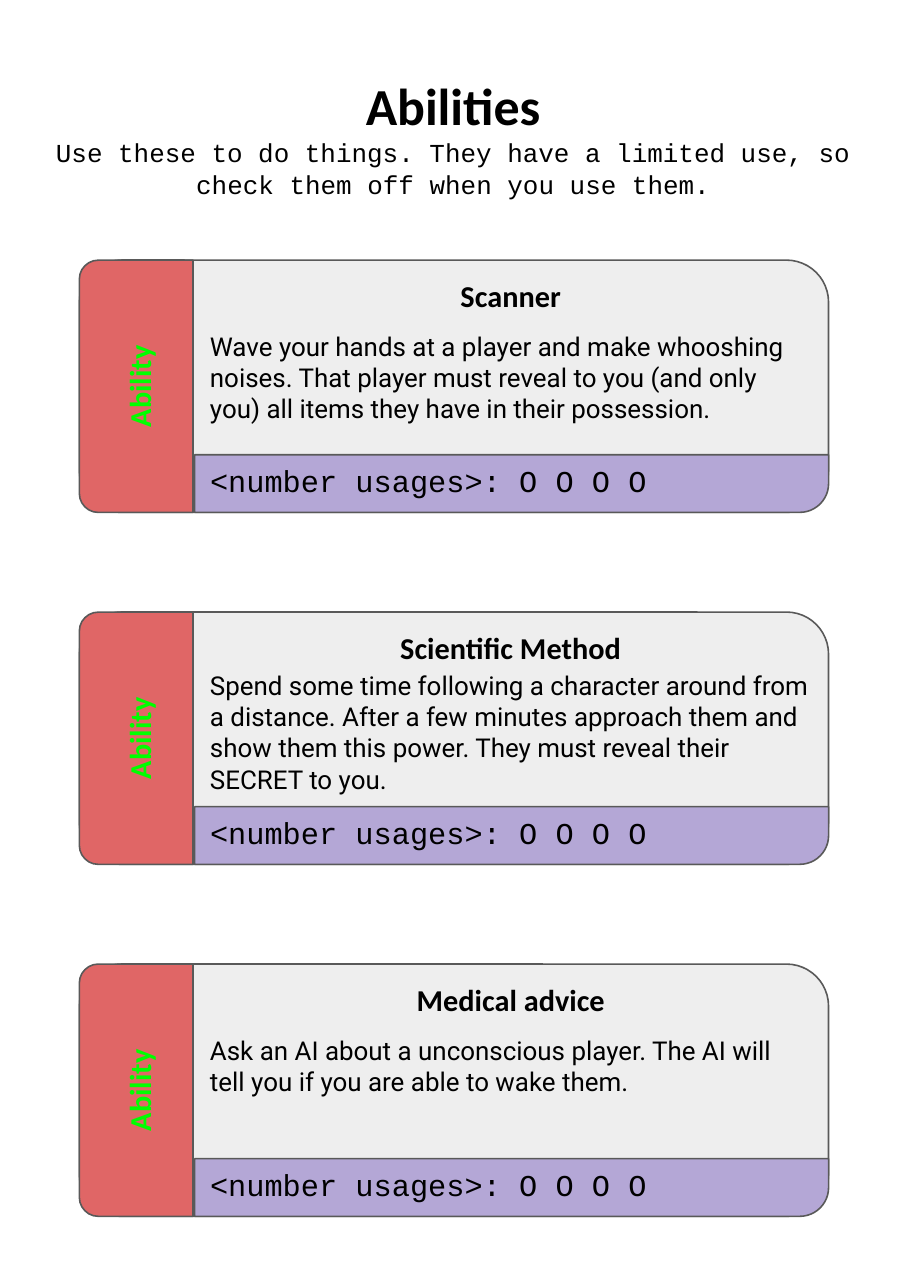
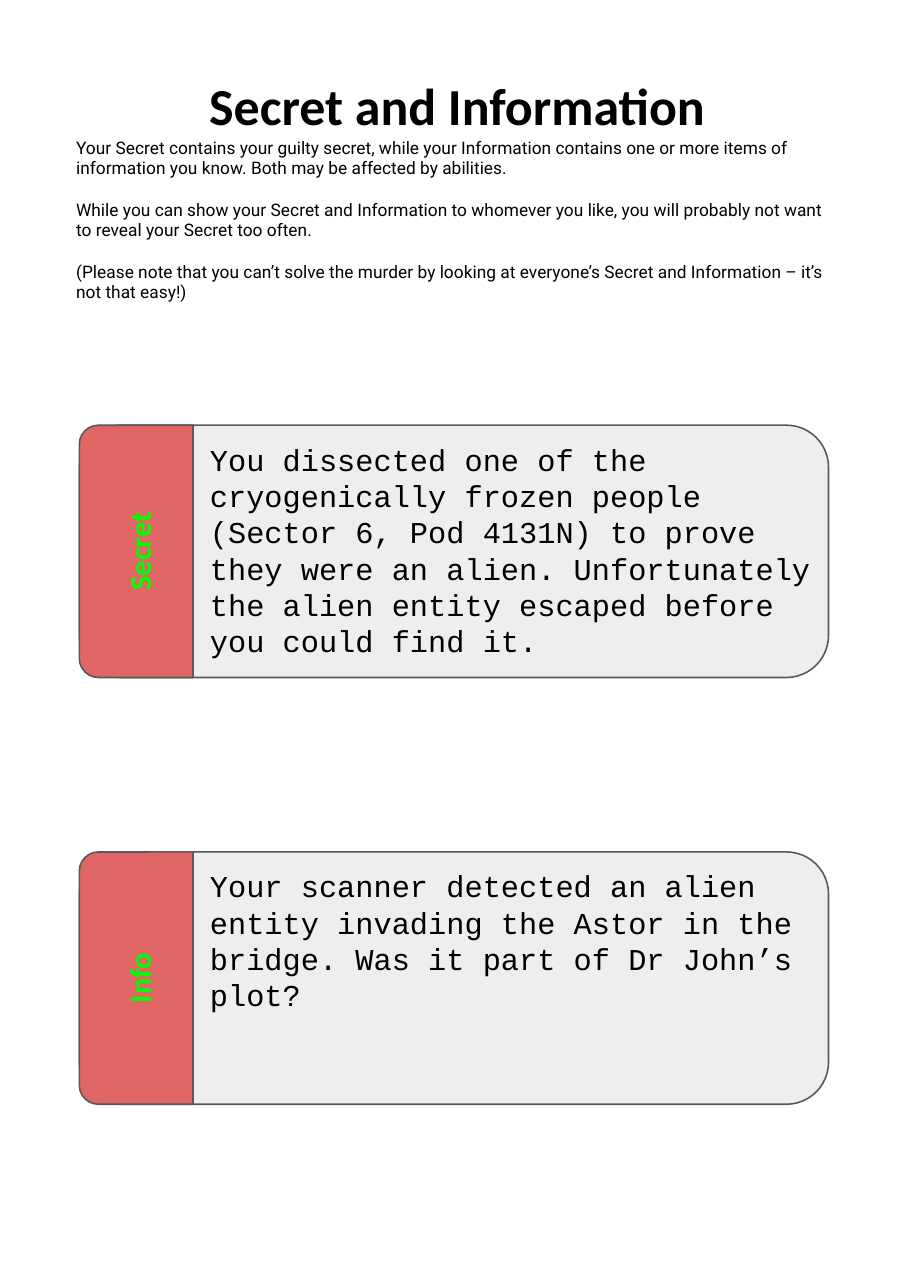
from dataclasses import dataclass

from pptx import Presentation
from pptx.dml.color import RGBColor
from pptx.enum.shapes import MSO_SHAPE
from pptx.enum.text import MSO_ANCHOR, MSO_AUTO_SIZE, PP_ALIGN
from pptx.util import Inches, Pt

COLORS = {"text": "000000", "label": "00FF00", "card": "EEEEEE",
          "tab": "E06666", "band": "B4A7D6", "line": "595959"}

# Font formats by role
FONTS = {
    "title": {"name": "Calibri", "size": Pt(24), "bold": True},
    "head": {"name": "Calibri", "size": Pt(14), "bold": True},
    "lead": {"name": "Courier New", "size": Pt(12), "bold": False},
    "mono": {"name": "Courier New", "size": Pt(14), "bold": False},
    "body": {"name": "Roboto", "size": Pt(12), "bold": False},
    "small": {"name": "Roboto", "size": Pt(8), "bold": False},
}

# Card grid
LEFT, WIDTH, HEIGHT = 0.51, 4.81, 1.62
TAB, BAND = 0.73, 0.37
INNER, SPAN = 1.25, 4.06
USES = "<number usages>: O O O O"


@dataclass
class Card:
    label: str
    text: str
    head: str = ""
    drop: float = 0.35


@dataclass
class Page:
    title: str
    intro: list[str]
    font: str
    align: PP_ALIGN
    left: float
    width: float
    top: float
    step: float
    cards: list[Card]


PAGES = [
    Page("Abilities",
         ["Use these to do things. They have a limited use, so check them off "
          "when you use them."],
         "lead", PP_ALIGN.CENTER, 0.23, 5.36, 1.67, 2.26, [
             Card("Ability", "Wave your hands at a player and make whooshing noises. "
                  "That player must reveal to you (and only you) all items they "
                  "have in their possession.", "Scanner"),
             Card("Ability", "Spend some time following a character around from a "
                  "distance. After a few minutes approach them and show them this "
                  "power. They must reveal their SECRET to you.",
                  "Scientific Method", 0.27),
             Card("Ability", "Ask an AI about a unconscious player. The AI will tell "
                  "you if you are able to wake them.", "Medical advice"),
         ]),
    Page("Secret and Information",
         ["Your Secret contains your guilty secret, while your Information contains "
          "one or more items of information you know. Both may be affected by "
          "abilities.",
          "While you can show your Secret and Information to whomever you like, you "
          "will probably not want to reveal your Secret too often.",
          "(Please note that you can’t solve the murder by looking at everyone’s "
          "Secret and Information – it’s not that easy!)"],
         "small", PP_ALIGN.LEFT, 0.39, 5.09, 2.73, 2.74, [
             Card("Secret", "You dissected one of the cryogenically frozen people "
                  "(Sector 6, Pod 4131N) to prove they were an alien. Unfortunately "
                  "the alien entity escaped before you could find it."),
             Card("Info", "Your scanner detected an alien entity invading the Astor "
                  "in the bridge. Was it part of Dr John’s plot?"),
         ]),
]


def write(shape, lines: list[str], font: str, align=PP_ALIGN.LEFT,
          color: str = "text", anchor=MSO_ANCHOR.TOP) -> None:
    """Fill a shape with paragraphs in one format."""
    frame = shape.text_frame
    frame.text = "\n".join(lines)
    layout = {"word_wrap": True, "auto_size": MSO_AUTO_SIZE.NONE,
              "vertical_anchor": anchor}
    layout |= {f"margin_{side}": Inches(0.1)
               for side in ("left", "top", "right", "bottom")}
    for key, value in layout.items():
        setattr(frame, key, value)
    for index, para in enumerate(frame.paragraphs):
        para.alignment = align
        if index:
            para.space_before = Pt(9.5)
        for key, value in FONTS[font].items():
            setattr(para.font, key, value)
        para.font.color.rgb = RGBColor.from_string(COLORS[color])


def add_text(shapes, left: float, top: float, width: float, height: float,
             lines: list[str], font: str, align=PP_ALIGN.LEFT) -> None:
    box = shapes.add_textbox(Inches(left), Inches(top), Inches(width), Inches(height))
    write(box, lines, font, align)


def add_block(shapes, kind, left: float, top: float, width: float, height: float,
              fill: str, turn: int = 0):
    """Draw an outlined block; left, top, width and height are as seen after a turn."""
    wide, high = (height, width) if turn else (width, height)
    block = shapes.add_shape(kind, Inches(left + (width - wide) / 2),
                             Inches(top + (height - high) / 2),
                             Inches(wide), Inches(high))
    block.rotation = turn
    block.shadow.inherit = False
    block.fill.solid()
    block.fill.fore_color.rgb = RGBColor.from_string(COLORS[fill])
    block.line.color.rgb = RGBColor.from_string(COLORS["line"])
    block.line.width = Pt(0.75)
    return block


def add_card(slide, card: Card, top: float) -> None:
    shapes = slide.shapes.add_group_shape().shapes
    add_block(shapes, MSO_SHAPE.ROUNDED_RECTANGLE, LEFT, top, WIDTH, HEIGHT, "card")
    # Side tab
    tab = add_block(shapes, MSO_SHAPE.ROUND_2_SAME_RECTANGLE, LEFT, top, TAB, HEIGHT,
                    "tab", 270)
    write(tab, [card.label], "head", PP_ALIGN.CENTER, "label", MSO_ANCHOR.MIDDLE)
    if not card.head:
        add_text(shapes, INNER, top, SPAN, HEIGHT, [card.text], "mono")
        return
    # Heading, rule and usage band
    add_text(shapes, INNER, top + 0.01, SPAN, 0.47, [card.head], "head",
             PP_ALIGN.CENTER)
    add_text(shapes, INNER, top + card.drop, SPAN, 0.52, [card.text], "body")
    band = add_block(shapes, MSO_SHAPE.ROUND_1_RECTANGLE, INNER,
                     top + HEIGHT - BAND, LEFT + WIDTH - INNER, BAND, "band", 90)
    band.adjustments[0] = 0.5
    add_text(shapes, INNER, top + 1.2, 3.98, 0.47, [USES], "mono")


def add_page(deck, page: Page) -> None:
    slide = deck.slides.add_slide(deck.slide_layouts[5])
    # Title and intro
    title = slide.shapes.title
    title.left, title.top = Inches(page.left), Inches(0.37)
    title.width, title.height = Inches(page.width), Inches(0.61)
    write(title, [page.title], "title", PP_ALIGN.CENTER)
    add_text(slide.shapes, page.left, 0.78, page.width, 0.5, page.intro, page.font,
             page.align)
    for index, card in enumerate(page.cards):
        add_card(slide, card, page.top + index * page.step)


def main() -> None:
    deck = Presentation()
    deck.slide_width, deck.slide_height = Inches(5.83), Inches(8.27)
    for page in PAGES:
        add_page(deck, page)
    deck.save("out.pptx")


if __name__ == "__main__":
    main()
